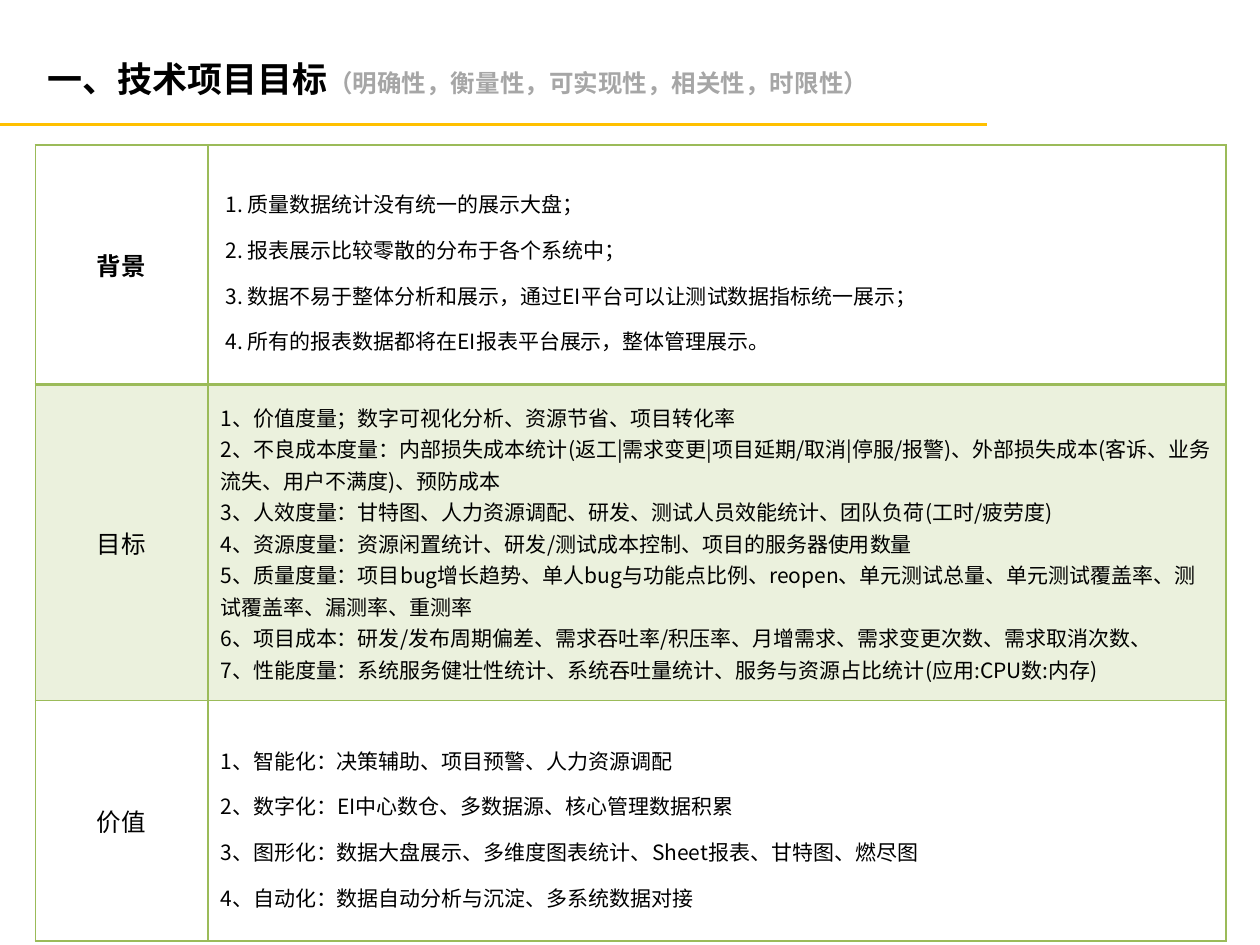
import pptx
import pptx.util
import pptx.oxml
import pptx.oxml.ns
import pptx.dml.color
import pptx.enum.shapes
import pptx.enum.text
from lxml import etree

Inches, Pt = pptx.util.Inches, pptx.util.Pt
ALIGN = pptx.enum.text.PP_ALIGN
MIDDLE = pptx.enum.text.MSO_ANCHOR.MIDDLE
qn = pptx.oxml.ns.qn

FONT = "Noto Sans CJK SC"
COLORS = {"text": "000000", "hint": "A6A6A6", "rule": "FFC000", "green": "9BBB59"}

TITLE = "一、技术项目目标"
TITLE_HINT = "（明确性，衡量性，可实现性，相关性，时限性）"
COL_WIDTHS = (1.37, 8.08)

ROWS = [
    {"label": "背景", "bold": True, "height": 1.9, "spacing": 1.5, "left": 0.14,
     "lines": [
         "1. 质量数据统计没有统一的展示大盘；",
         "2. 报表展示比较零散的分布于各个系统中；",
         "3. 数据不易于整体分析和展示，通过EI平台可以让测试数据指标统一展示；",
         "4. 所有的报表数据都将在EI报表平台展示，整体管理展示。"]},
    {"label": "目标", "height": 2.51, "spacing": Pt(18), "opacity": 20,
     "lines": [
         "1、价值度量；数字可视化分析、资源节省、项目转化率",
         "2、不良成本度量：内部损失成本统计(返工|需求变更|项目延期/取消|停服/报警)、"
         "外部损失成本(客诉、业务流失、用户不满度)、预防成本",
         "3、人效度量：甘特图、人力资源调配、研发、测试人员效能统计、团队负荷(工时/疲劳度)",
         "4、资源度量：资源闲置统计、研发/测试成本控制、项目的服务器使用数量",
         "5、质量度量：项目bug增长趋势、单人bug与功能点比例、reopen、单元测试总量、"
         "单元测试覆盖率、测试覆盖率、漏测率、重测率",
         "6、项目成本：研发/发布周期偏差、需求吞吐率/积压率、月增需求、需求变更次数、需求取消次数、",
         "7、性能度量：系统服务健壮性统计、系统吞吐量统计、服务与资源占比统计(应用:CPU数:内存)"]},
    {"label": "价值", "height": 1.91, "spacing": 1.5,
     "lines": [
         "1、智能化：决策辅助、项目预警、人力资源调配",
         "2、数字化：EI中心数仓、多数据源、核心管理数据积累",
         "3、图形化：数据大盘展示、多维度图表统计、Sheet报表、甘特图、燃尽图",
         "4、自动化：数据自动分析与沉淀、多系统数据对接"]},
]


def rgb(name):
    """Return the named colour."""
    return pptx.dml.color.RGBColor.from_string(COLORS[name])


def add_text(p, text, size=12, bold=False, color="text", align=ALIGN.LEFT, spacing=None):
    """Add a formatted run to a paragraph."""
    p.alignment = align
    if spacing:
        p.line_spacing = spacing
    r = p.add_run()
    r.text = text
    r.font.size, r.font.bold, r.font.name = Pt(size), bold, FONT
    r.font.color.rgb = rgb(color)
    etree.SubElement(r.font._element, qn("a:ea")).set("typeface", FONT)


def set_borders(cell, top=1, bottom=1):
    """Draw green lines on all four sides of a cell."""
    tcPr = cell._tc.get_or_add_tcPr()
    for side, width in (("L", 1), ("R", 1), ("T", top), ("B", bottom)):
        ln = etree.SubElement(tcPr, qn("a:ln" + side), w=str(Pt(width)))
        fill = etree.SubElement(ln, qn("a:solidFill"))
        etree.SubElement(fill, qn("a:srgbClr"), val=COLORS["green"])


def set_fill(cell, opacity=None):
    """Tint a cell with green at the given percentage, or leave it clear."""
    if opacity is None:
        cell.fill.background()
        return
    cell.fill.solid()
    cell.fill.fore_color.rgb = rgb("green")
    clr = cell._tc.tcPr.find(qn("a:solidFill")).find(qn("a:srgbClr"))
    etree.SubElement(clr, qn("a:alpha"), val=str(opacity * 1000))


def add_title(s):
    """Add the heading and the rule below it."""
    cx = s.shapes.add_connector(pptx.enum.shapes.MSO_CONNECTOR.STRAIGHT,
                                0, Inches(0.99), Inches(7.83), Inches(0.99))
    cx.line.color.rgb, cx.line.width = rgb("rule"), Pt(1.5)
    etree.SubElement(cx._element.spPr, qn("a:effectLst"))
    tf = s.shapes.add_textbox(Inches(0.28), 0, Inches(9), Inches(1.25)).text_frame
    tf.word_wrap, tf.vertical_anchor = True, MIDDLE
    add_text(tf.paragraphs[0], TITLE, size=20, bold=True)
    add_text(tf.paragraphs[0], TITLE_HINT, size=14, bold=True, color="hint")


def add_goals(s):
    """Add the table of labels and numbered lines."""
    tbl = s.shapes.add_table(len(ROWS), 2, Inches(0.28), Inches(1.15), Inches(sum(COL_WIDTHS)),
                             Inches(sum(row["height"] for row in ROWS))).table
    tbl.first_row = tbl.horz_banding = False
    for col, width in zip(tbl.columns, COL_WIDTHS):
        col.width = Inches(width)
    for i, row in enumerate(ROWS):
        tbl.rows[i].height = Inches(row["height"])
        label, body = tbl.cell(i, 0), tbl.cell(i, 1)
        for cell in (label, body):
            cell.vertical_anchor = MIDDLE
            set_borders(cell, top=2 if i == 1 else 1, bottom=2 if i == 0 else 1)
            set_fill(cell, row.get("opacity"))
        add_text(label.text_frame.paragraphs[0], row["label"], size=14,
                 bold=row.get("bold", False), align=ALIGN.CENTER)
        body.margin_left = Inches(row.get("left", 0.1))
        tf = body.text_frame
        for j, line in enumerate(row["lines"]):
            p = tf.add_paragraph() if j else tf.paragraphs[0]
            add_text(p, line, spacing=row["spacing"])


prs = pptx.Presentation()
prs.slide_width, prs.slide_height = Inches(10), Inches(7.5)
s = prs.slides.add_slide(prs.slide_layouts[6])
add_title(s)
add_goals(s)
prs.save("out.pptx")
